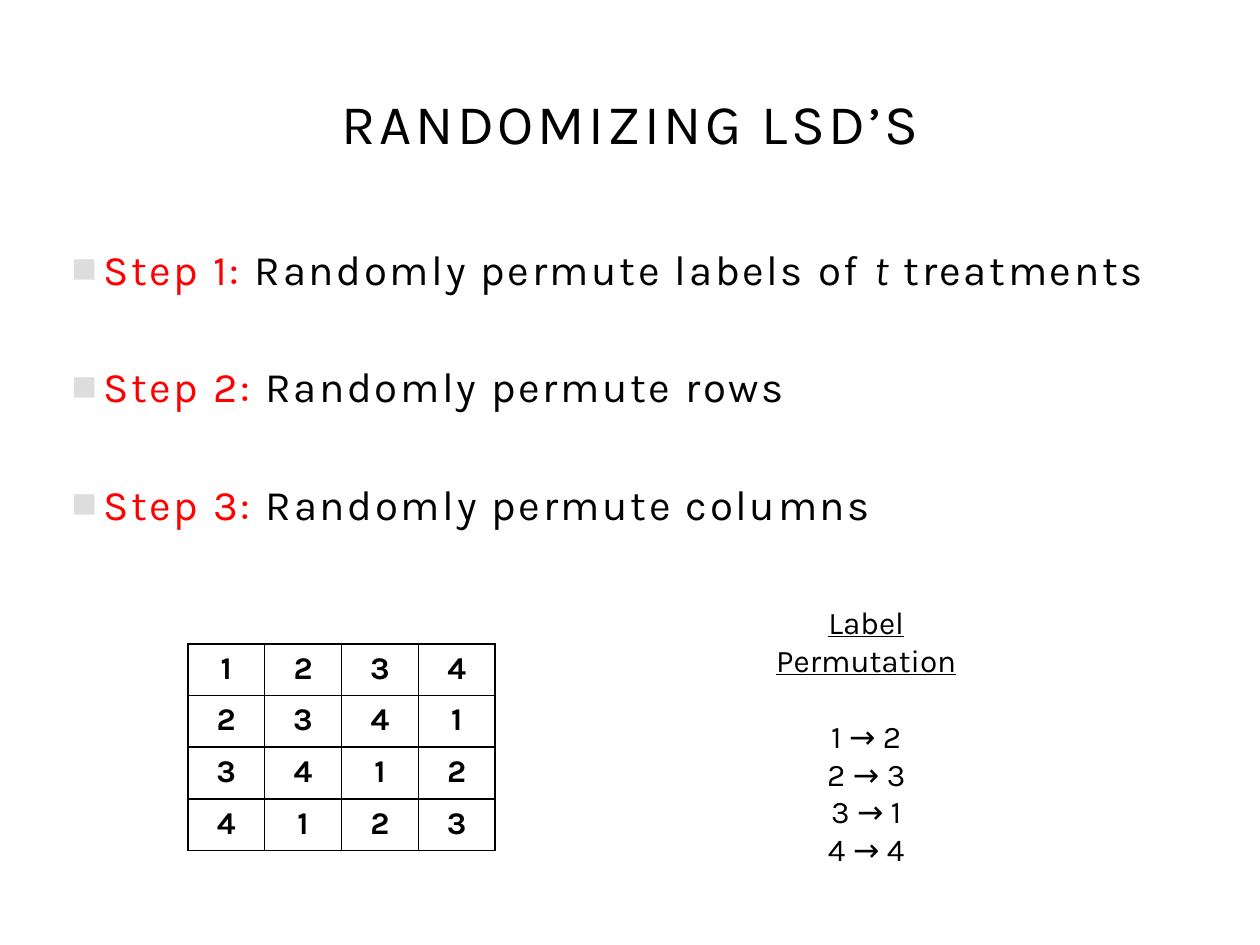
from lxml.etree import SubElement
from pptx import Presentation
from pptx.dml.color import RGBColor
from pptx.enum.text import MSO_ANCHOR, PP_ALIGN
from pptx.oxml.ns import qn
from pptx.util import Inches, Pt

COLORS = {"text": "000000", "step": "FF0000", "bullet": "DDDDDD", "paper": "FFFFFF"}
FONT = "Karla"

TITLE = "RANDOMIZING LSD’S"
STEPS = [
    ("Step 1:", [(" Randomly permute labels of ", False), ("t", True), (" treatments", False)]),
    ("Step 2:", [(" Randomly permute rows", False)]),
    ("Step 3:", [(" Randomly permute columns", False)]),
]
TREATMENTS = 4
PERMUTATION_HEADING = "Label Permutation"
PERMUTATION = [(1, 2), (2, 3), (3, 1), (4, 4)]

TITLE_AREA = (0.42, 0.39, 9.17, 1.15)
STEPS_AREA = (0.42, 1.88, 9.37, 5.42)
PERMUTATION_AREA = (5.77, 4.74, 2.21, 1.92)
SQUARE_LEFT, SQUARE_TOP, CELL_WIDTH, CELL_HEIGHT = 1.49, 5.11, 0.61, 0.41


def rgb(name):
    return RGBColor.from_string(COLORS[name])


def add_span(para, text, size, color="text", spacing=0, **formats):
    """Add a run; spacing is the letter spacing in points."""
    span = para.add_run()
    span.text = text
    span.font.color.rgb = rgb(color)
    for name, value in {"name": FONT, "size": Pt(size), **formats}.items():
        setattr(span.font, name, value)
    if spacing:
        span._r.get_or_add_rPr().set("spc", str(int(spacing * 100)))


def add_text_box(page, area):
    box = page.shapes.add_textbox(*map(Inches, area))
    box.text_frame.word_wrap = True
    return box


def next_para(frame, index):
    return frame.add_paragraph() if index else frame.paragraphs[0]


def add_bullet(para):
    properties = para._p.get_or_add_pPr()
    properties.set("marL", str(Inches(0.3)))
    properties.set("indent", str(Inches(-0.25)))
    color = SubElement(properties, qn("a:buClr"))
    SubElement(color, qn("a:srgbClr"), val=COLORS["bullet"])
    SubElement(properties, qn("a:buFont"), typeface="Arial")
    SubElement(properties, qn("a:buChar"), char="■")


def add_cell_borders(cell):
    properties = cell._tc.get_or_add_tcPr()
    for position, side in enumerate(("a:lnL", "a:lnR", "a:lnT", "a:lnB")):
        line = properties.makeelement(qn(side), {"w": str(Pt(1))})
        fill = SubElement(line, qn("a:solidFill"))
        SubElement(fill, qn("a:srgbClr"), val=COLORS["text"])
        properties.insert(position, line)


def add_steps(page):
    frame = add_text_box(page, STEPS_AREA).text_frame
    for index, (label, parts) in enumerate(STEPS):
        para = next_para(frame, index)
        if index:
            para.space_before = Pt(38.4)
        add_bullet(para)
        add_span(para, label, 24, "step", 1.5)
        for text, italic in parts:
            add_span(para, text, 24, spacing=1.5, italic=italic)


def add_title(page):
    box = add_text_box(page, TITLE_AREA)
    box.fill.solid()
    box.fill.fore_color.rgb = rgb("paper")
    box.text_frame.vertical_anchor = MSO_ANCHOR.MIDDLE
    para = box.text_frame.paragraphs[0]
    para.alignment = PP_ALIGN.CENTER
    add_span(para, TITLE, 32, spacing=2)


def add_latin_square(page):
    size = TREATMENTS
    lengths = (SQUARE_LEFT, SQUARE_TOP, size * CELL_WIDTH, size * CELL_HEIGHT)
    table = page.shapes.add_table(size, size, *map(Inches, lengths)).table
    table.first_row = table.horz_banding = False
    for row in range(size):
        for column in range(size):
            cell = table.cell(row, column)
            cell.fill.background()
            add_cell_borders(cell)
            para = cell.text_frame.paragraphs[0]
            para.alignment = PP_ALIGN.CENTER
            add_span(para, str((row + column) % size + 1), 18, bold=True)


def add_permutation(page):
    frame = add_text_box(page, PERMUTATION_AREA).text_frame
    lines = [PERMUTATION_HEADING] + [f"{old} → {new}" for old, new in PERMUTATION]
    for index, line in enumerate(lines):
        para = next_para(frame, index)
        para.alignment = PP_ALIGN.CENTER
        add_span(para, line, 18, underline=index == 0)
    frame.paragraphs[0].space_after = Pt(21.6)


def main():
    deck = Presentation()
    deck.slide_width, deck.slide_height = Inches(10), Inches(7.5)
    page = deck.slides.add_slide(deck.slide_layouts[6])
    add_steps(page)
    add_title(page)
    add_latin_square(page)
    add_permutation(page)
    deck.save("out.pptx")


if __name__ == "__main__":
    main()
